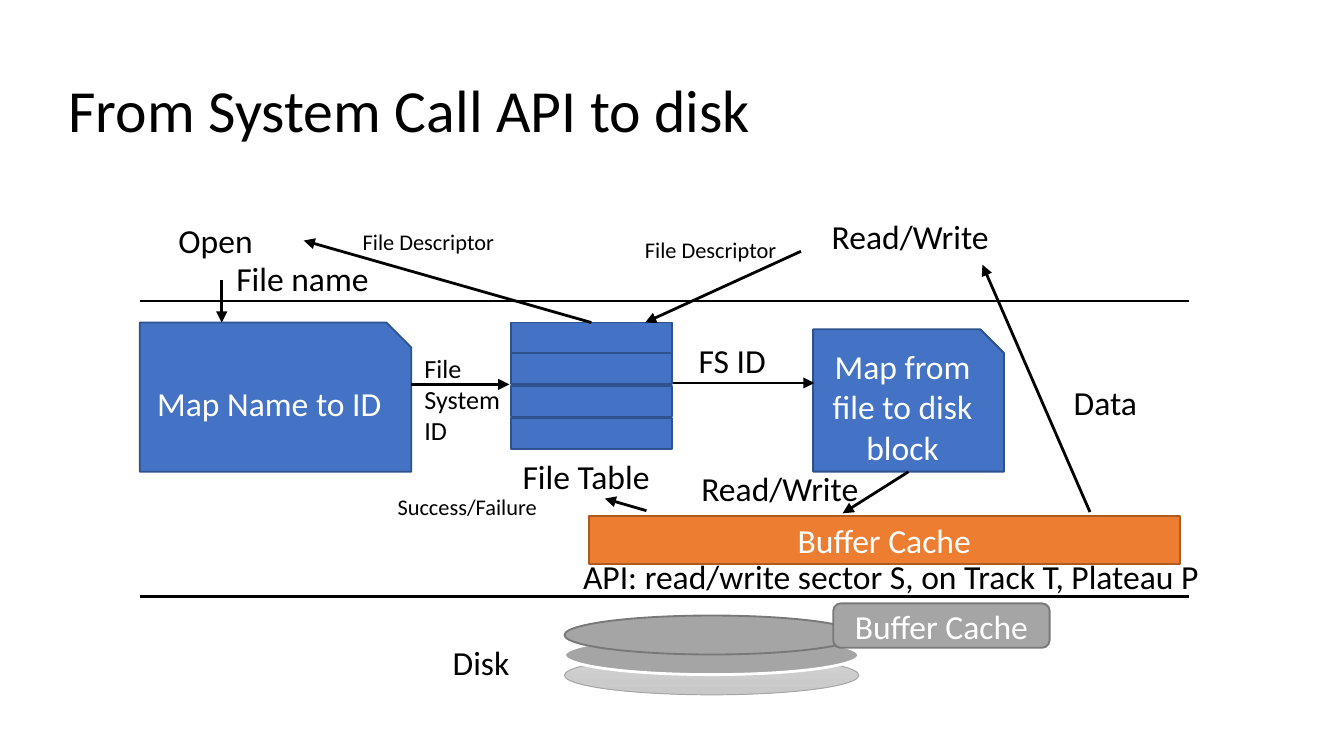
from dataclasses import dataclass

from pptx import Presentation
from pptx.dml.color import RGBColor
from pptx.enum.shapes import MSO_CONNECTOR, MSO_SHAPE
from pptx.enum.text import MSO_ANCHOR, MSO_AUTO_SIZE, PP_ALIGN
from pptx.oxml.ns import qn
from pptx.util import Emu, Pt
from lxml import etree

SNIP = MSO_SHAPE.SNIP_1_RECTANGLE
RECT = MSO_SHAPE.RECTANGLE
ROUND = MSO_SHAPE.ROUNDED_RECTANGLE
OVAL = MSO_SHAPE.OVAL
LINE = MSO_CONNECTOR.STRAIGHT
LEFT, CENTER = PP_ALIGN.LEFT, PP_ALIGN.CENTER
MIDDLE, TOP = MSO_ANCHOR.MIDDLE, MSO_ANCHOR.TOP
GROW, FIXED = MSO_AUTO_SIZE.SHAPE_TO_FIT_TEXT, MSO_AUTO_SIZE.NONE

SCALE = 9144  # EMU per px, 100 px to the inch
FONT = "Calibri"
HUES = {
    "black": "000000", "white": "FFFFFF",
    "blue": "4472C4", "navy": "2F528F",
    "orange": "ED7D31", "rust": "AE5A21",
    "gray": "A5A5A5", "dark": "787878",
    "pale": "D2D2D2", "dim": "C8C8C8",
}


@dataclass
class Box:
    kind: int
    x: int
    y: int
    w: int
    h: int
    fill: str
    edge: str
    text: str = ""
    width: float = 1


@dataclass
class Label:
    text: str
    x: int
    y: int
    w: int
    h: int = 40
    size: int = 18
    wrap: bool = False


@dataclass
class Link:
    x1: int
    y1: int
    x2: int
    y2: int
    head: bool = True
    start: tuple = ()  # joined shape and its side


def px(n: int) -> Emu:
    return Emu(n * SCALE)


def hue(name: str) -> RGBColor:
    return RGBColor.from_string(HUES[name])


def style(shape, text: str, size: int, color: str, frame: dict, para: dict) -> None:
    body = shape.text_frame
    body.text = text
    for key, value in frame.items():
        setattr(body, key, value)
    for line in body.paragraphs:
        for key, value in para.items():
            setattr(line, key, value)
        for key, value in {"name": FONT, "size": Pt(size)}.items():
            setattr(line.font, key, value)
        line.font.color.rgb = hue(color)


def draw_box(slide, box: Box):
    shape = slide.shapes.add_shape(box.kind, px(box.x), px(box.y), px(box.w), px(box.h))
    shape.shadow.inherit = False
    shape.fill.solid()
    shape.fill.fore_color.rgb = hue(box.fill)
    shape.line.color.rgb = hue(box.edge)
    shape.line.width = Pt(box.width)
    if box.text:
        style(shape, box.text, 18, "white",
              {"word_wrap": True, "vertical_anchor": MIDDLE}, {"alignment": CENTER})
    return shape


def draw_label(slide, tag: Label) -> None:
    shape = slide.shapes.add_textbox(px(tag.x), px(tag.y), px(tag.w), px(tag.h))
    style(shape, tag.text, tag.size, "black",
          {"word_wrap": tag.wrap, "auto_size": GROW, "vertical_anchor": TOP},
          {"alignment": LEFT})


def draw_link(slide, link: Link) -> None:
    wire = slide.shapes.add_connector(
        LINE, px(link.x1), px(link.y1), px(link.x2), px(link.y2))
    if link.start:
        wire.begin_connect(*link.start)
    wire.line.color.rgb = hue("black")
    wire.line.width = Pt(1.5)
    if link.head:
        edge = wire._element.spPr.find(qn("a:ln"))
        etree.SubElement(edge, qn("a:tailEnd"), type="triangle")
    etree.SubElement(wire._element.spPr, qn("a:effectLst"))


def main() -> None:
    deck = Presentation()
    deck.slide_width = px(1000)
    deck.slide_height = deck.slide_width * 9 // 16
    slide = deck.slides.add_slide(deck.slide_layouts[5])

    # Title
    title = slide.shapes.title
    spot = {"left": 41, "top": 30, "width": 919, "height": 109}
    for key, value in spot.items():
        setattr(title, key, px(value))
    style(title, "From System Call API to disk", 32, "black",
          {"word_wrap": True, "auto_size": FIXED, "vertical_anchor": MIDDLE},
          {"alignment": LEFT, "line_spacing": 0.9})

    # Disk platters, bottom one first
    edges = (("gray", 0.5), ("white", 1.5), ("dark", 1))
    plates = [draw_box(slide, Box(OVAL, 420, 488 - 15 * i, 219, 29, "gray", edge, width=width))
              for i, (edge, width) in enumerate(edges)]
    shade = plates[0].fill
    shade.gradient()
    shade.gradient_angle = 270
    for stop, name in zip(shade.gradient_stops, ("pale", "dim")):
        stop.color.rgb = hue(name)

    # Mapping steps and the rows of the file table
    draw_box(slide, Box(SNIP, 104, 240, 202, 111, "blue", "navy", "Map Name to ID"))
    rows = [draw_box(slide, Box(RECT, 380, 240 + 71 * i // 3, 120, 23, "blue", "navy"))
            for i in range(4)]
    block = draw_box(slide, Box(SNIP, 605, 245, 142, 106, "blue", "navy",
                                "Map from file to disk block"))

    # Layer borders and arrows
    links = [Link(104, y, 885, y, head=False) for y in (224, 444)] + [
        Link(165, 208, 165, 240),
        Link(306, 286, 379, 286),
        Link(440, 240, 226, 179, start=(rows[0], 0)),
        Link(596, 187, 480, 240),
        Link(501, 285, 606, 285),
        Link(676, 351, 627, 382, start=(block, 2)),
        Link(811, 381, 731, 197),
        Link(481, 380, 450, 371),
    ]
    for link in links:
        draw_link(slide, link)

    # Labels
    tags = [
        Label("Open", 123, 159, 76),
        Label("File name", 166, 187, 120),
        Label("File Descriptor", 260, 165, 119, 30, 12),
        Label("File Descriptor", 470, 171, 119, 30, 12),
        Label("Read/Write", 609, 156, 138),
        Label("File\nSystem\nID", 306, 257, 77, 81, 14),
        Label("FS ID", 510, 248, 71),
        Label("Data", 789, 279, 68),
        Label("File Table", 379, 334, 116),
        Label("Read/Write", 512, 343, 138),
        Label("Success/Failure", 286, 362, 143, 30, 12, True),
        Label("API: read/write sector S, on Track T, Plateau P", 424, 409, 484),
        Label("Disk", 327, 473, 63),
    ]
    for tag in tags:
        draw_label(slide, tag)

    # Caches of the system and of the disk
    draw_box(slide, Box(RECT, 438, 384, 440, 36, "orange", "rust", "Buffer Cache"))
    draw_box(slide, Box(ROUND, 620, 449, 161, 33, "gray", "dark", "Buffer Cache"))

    deck.save("out.pptx")


if __name__ == "__main__":
    main()
